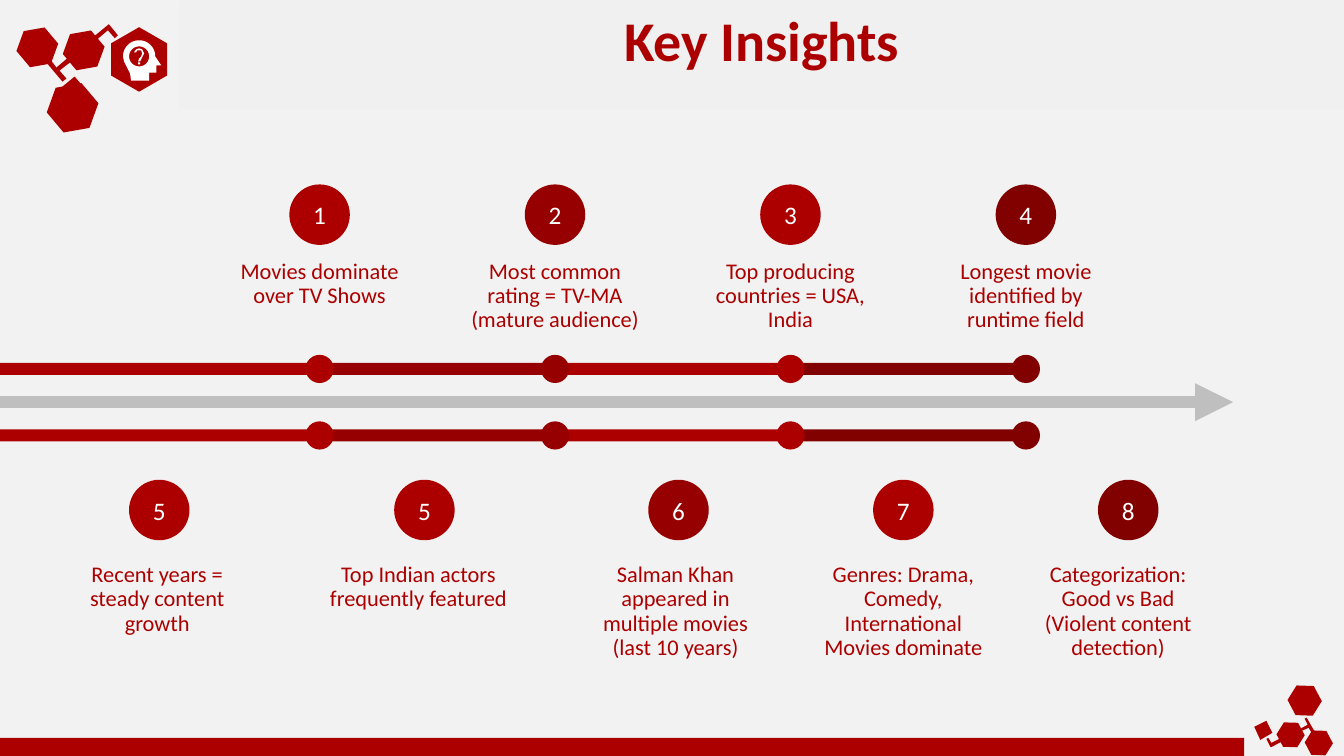
from dataclasses import dataclass
from math import cos, radians, sin

from lxml.etree import SubElement
from pptx import Presentation
from pptx.dml.color import RGBColor
from pptx.enum.shapes import MSO_CONNECTOR, MSO_SHAPE
from pptx.enum.text import MSO_ANCHOR, PP_ALIGN
from pptx.oxml.ns import qn
from pptx.util import Inches, Pt


@dataclass(frozen=True)
class Theme:
    font: str = "Calibri"
    red: str = "AC0000"
    dark: str = "960000"
    deep: str = "810000"
    grey: str = "BFBFBF"
    paper: str = "F2F2F2"
    band: str = "F0F0F0"
    white: str = "FFFFFF"
    title: int = 40
    number: int = 18
    label: int = 16
    arrow: int = 9


T = Theme()
WIDTH, HEIGHT = 13.33, 7.5

# Timeline grid: four stops at equal pitch, rows by their centre line
STOPS = [3.17 + 2.335 * i for i in range(4)]
STOP_COLORS = [T.red, T.dark, T.red, T.deep]
AXIS, RAIL_GAP = 3.99, 0.33
UPPER_NUMBERS, UPPER_LABELS = 2.13, 2.58
LOWER_NUMBERS, LOWER_LABELS = 5.06, 5.59
BAR, DOT, BADGE, LABEL_W, LABEL_H = 0.12, 0.28, 0.6, 1.8, 0.35

UPPER_TEXTS = [
    "Movies dominate over TV Shows",
    "Most common rating = TV-MA (mature audience)",
    "Top producing countries = USA, India",
    "Longest movie identified by runtime field",
]
# number, badge centre, label centre, colour, text
LOWER_ITEMS = [
    ("5", 1.58, 1.56, T.red, "Recent years = steady content growth"),
    ("5", 4.21, 4.15, T.red, "Top Indian actors frequently featured"),
    ("6", 6.73, 6.7, T.dark, "Salman Khan appeared in multiple movies (last 10 years)"),
    ("7", 8.96, 8.96, T.red, "Genres: Drama, Comedy, International Movies dominate"),
    ("8", 11.19, 11.09, T.deep, "Categorization: Good vs Bad (Violent content detection)"),
]

# Hexagons: centre x, centre y, radius, turn in degrees
HEXAGONS = [
    (12.8, 7.29, 0.14, 2), (13.08, 7.37, 0.14, 2), (12.94, 6.95, 0.17, 2),
    (0.83, 0.5, 0.21, -10), (0.37, 0.47, 0.21, -10), (0.72, 1.07, 0.26, -10),
    (1.38, 0.59, 0.32, 30),
]
CORNER_LINKS = [
    [(12.44, 7.21), (12.56, 7.15), (12.62, 7.27), (12.5, 7.34)],
    [(12.94, 7.13), (12.96, 7.12), (13.04, 7.26), (13.01, 7.27),
     (12.98, 7.22), (12.89, 7.26), (12.88, 7.24), (12.97, 7.19)],
    [(12.6, 7.41), (12.56, 7.33), (12.58, 7.32), (12.61, 7.37),
     (12.71, 7.32), (12.73, 7.35), (12.61, 7.41)],
]
HEADER_LINKS = [
    [(0.88, 0.92), (0.71, 1.06), (0.57, 0.9), (0.74, 0.76)],
    [(0.66, 0.78), (0.62, 0.81), (0.46, 0.62), (0.5, 0.59),
     (0.56, 0.67), (0.69, 0.56), (0.72, 0.6), (0.59, 0.7)],
    [(1.08, 0.24), (1.17, 0.35), (1.14, 0.38), (1.07, 0.3),
     (0.93, 0.42), (0.91, 0.38)],
]
FACE = [(1.6, 0.65), (1.55, 0.65), (1.55, 0.72), (1.48, 0.72), (1.48, 0.8),
        (1.3, 0.8), (1.29, 0.73), (1.26, 0.67), (1.23, 0.61)]
QUESTION_HOOK = [(1.33, 0.52), (1.35, 0.49), (1.38, 0.48), (1.41, 0.49),
                 (1.43, 0.53), (1.41, 0.57), (1.39, 0.61), (1.37, 0.61),
                 (1.38, 0.58), (1.4, 0.56), (1.41, 0.53), (1.4, 0.5),
                 (1.38, 0.5), (1.36, 0.5), (1.35, 0.52)]
QUESTION_DOT = [(1.37, 0.62), (1.39, 0.62), (1.39, 0.64), (1.37, 0.64)]


def rgb(color):
    return RGBColor.from_string(color)


def paint(sp, color):
    sp.shadow.inherit = False
    sp.fill.solid()
    sp.fill.fore_color.rgb = rgb(color)
    sp.line.fill.background()


def write(sp, text, size, color, bold=False):
    tf = sp.text_frame
    tf.word_wrap = True
    p = tf.paragraphs[0]
    p.text = text
    p.alignment = PP_ALIGN.CENTER
    p.font.name, p.font.size, p.font.bold = T.font, Pt(size), bold
    p.font.color.rgb = rgb(color)
    return tf


def add_block(slide, kind, x, y, w, h, color):
    sp = slide.shapes.add_shape(kind, Inches(x), Inches(y), Inches(w), Inches(h))
    paint(sp, color)
    return sp


def add_disc(slide, cx, cy, size, color):
    return add_block(slide, MSO_SHAPE.OVAL, cx - size / 2, cy - size / 2, size, size, color)


def add_badge(slide, number, cx, cy, color):
    tf = write(add_disc(slide, cx, cy, BADGE, color), number, T.number, T.white)
    tf.vertical_anchor = MSO_ANCHOR.MIDDLE


def add_label(slide, text, cx, top):
    box = slide.shapes.add_textbox(Inches(cx - LABEL_W / 2), Inches(top),
                                   Inches(LABEL_W), Inches(LABEL_H))
    tf = write(box, text, T.label, T.red)
    tf.margin_left = tf.margin_right = tf.margin_top = tf.margin_bottom = 0
    tf.paragraphs[0].line_spacing = 0.9


def add_outline(slide, contours, color):
    """Draw closed contours as one shape; inner contours become holes."""
    builder = None
    for contour in contours:
        start, *rest = [(Inches(x), Inches(y)) for x, y in contour]
        if builder is None:
            builder = slide.shapes.build_freeform(*start)
        else:
            builder.move_to(*start)
        builder.add_line_segments(rest, close=True)
    paint(builder.convert_to_shape(), color)


def arc(cx, cy, radius, start, end, steps):
    """Points from start to end degrees, both included."""
    angles = [radians(start + (end - start) * i / steps) for i in range(steps + 1)]
    return [(cx + radius * cos(a), cy + radius * sin(a)) for a in angles]


def add_hexagons(slide):
    for links in (CORNER_LINKS, HEADER_LINKS):
        add_outline(slide, links, T.red)
    for cx, cy, radius, turn in HEXAGONS:
        add_outline(slide, [arc(cx, cy, radius, turn, turn + 300, 5)], T.red)
    skull = arc(1.38, 0.56, 0.16, 180, 360, 24)
    hole = arc(1.38, 0.56, 0.1, 0, 345, 23)
    add_outline(slide, [skull + FACE, hole, QUESTION_HOOK, QUESTION_DOT], T.white)


def add_axis(slide):
    line = slide.shapes.add_connector(MSO_CONNECTOR.STRAIGHT, 0, Inches(AXIS),
                                      Inches(12.23), Inches(AXIS))
    line.line.color.rgb = rgb(T.grey)
    line.line.width = Pt(T.arrow)
    SubElement(line.line._get_or_add_ln(), qn("a:tailEnd"), type="triangle")
    SubElement(line._element.spPr, qn("a:effectLst"))


def add_rail(slide, cy):
    for left, right, color in zip([0] + STOPS, STOPS, STOP_COLORS):
        add_block(slide, MSO_SHAPE.RECTANGLE, left, cy - BAR / 2, right - left, BAR, color)
    for stop, color in zip(STOPS, STOP_COLORS):
        add_disc(slide, stop, cy, DOT, color)


def main():
    prs = Presentation()
    prs.slide_width, prs.slide_height = Inches(WIDTH), Inches(HEIGHT)
    slide = prs.slides.add_slide(prs.slide_layouts[6])
    slide.background.fill.solid()
    slide.background.fill.fore_color.rgb = rgb(T.paper)

    add_block(slide, MSO_SHAPE.RECTANGLE, 0, HEIGHT - 0.18, 12.34, 0.18, T.red)
    add_hexagons(slide)
    header = add_block(slide, MSO_SHAPE.RECTANGLE, 1.78, 0.01, WIDTH - 1.78, 1.07, T.band)
    tf = write(header, "Key Insights", T.title, T.red, bold=True)
    tf.vertical_anchor = MSO_ANCHOR.TOP

    add_axis(slide)
    for cy in (AXIS - RAIL_GAP, AXIS + RAIL_GAP):
        add_rail(slide, cy)
    for i, (stop, color, text) in enumerate(zip(STOPS, STOP_COLORS, UPPER_TEXTS), 1):
        add_badge(slide, str(i), stop, UPPER_NUMBERS, color)
        add_label(slide, text, stop, UPPER_LABELS)
    for number, badge_x, label_x, color, text in LOWER_ITEMS:
        add_badge(slide, number, badge_x, LOWER_NUMBERS, color)
        add_label(slide, text, label_x, LOWER_LABELS)
    prs.save("out.pptx")


if __name__ == "__main__":
    main()
